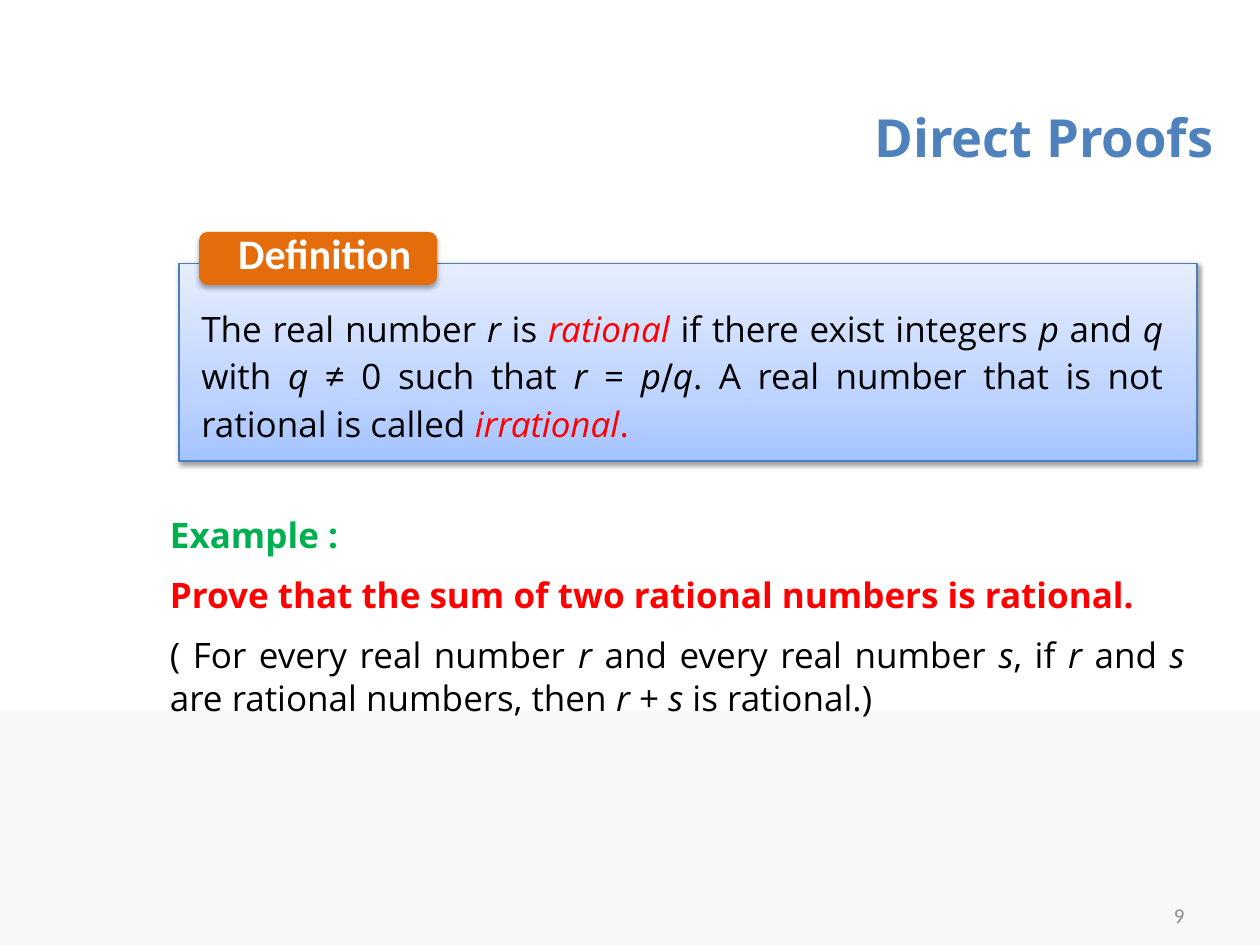
from copy import deepcopy
from dataclasses import dataclass

from lxml import etree
from pptx import Presentation
from pptx import util as u
from pptx.dml.color import RGBColor
from pptx.enum import shapes, text
from pptx.oxml.ns import qn

PX = 9144
COLORS = {
    "title": "4F81BD", "band": "F7F7F7", "number": "8C8C8C", "green": "00B050",
    "red": "FF0000", "black": "000000", "white": "FFFFFF", "edge": "4B7EBC",
    "tab": "E46C0A", "deep": "A4C4FF", "mid": "BFD4FF", "pale": "E6EEFF",
}
GRADIENT = ((0, "deep"), (0.35, "mid"), (1, "pale"))


@dataclass
class Area:
    left: int
    top: int
    width: int
    height: int

    def emu(self) -> tuple:
        return tuple(u.Emu(n * PX) for n in (self.left, self.top, self.width, self.height))


@dataclass
class Line:
    words: str
    color: str = "black"
    bold: bool = False


def rgb(name: str) -> RGBColor:
    return RGBColor.from_string(COLORS[name])


def add_text(parent, area: Area, lines: list[Line], *, size: int, font="Open Sans",
             align=text.PP_ALIGN.JUSTIFY, anchor=text.MSO_ANCHOR.TOP,
             before=0.0, spacing=None, insets=(10, 5)) -> None:
    frame = parent.add_textbox(*area.emu()).text_frame
    frame.word_wrap = True
    frame.vertical_anchor = anchor
    frame.margin_left = frame.margin_right = u.Emu(insets[0] * PX)
    frame.margin_top = frame.margin_bottom = u.Emu(insets[1] * PX)
    for index, line in enumerate(lines):
        para = frame.add_paragraph() if index else frame.paragraphs[0]
        para.alignment = align
        if index:
            para.space_before = u.Pt(before)
        if spacing:
            para.line_spacing = spacing
        for part, section in enumerate(line.words.split("~")):
            for piece, words in enumerate(section.split("*")):
                if not words:
                    continue
                span = para.add_run()
                span.text = words
                span.font.name = font
                span.font.size = u.Pt(size)
                span.font.bold = line.bold
                span.font.italic = piece % 2 == 1
                span.font.color.rgb = rgb("red" if part % 2 else line.color)


def add_panel(parent, kind, area: Area, fill: str | None = None):
    panel = parent.add_shape(kind, *area.emu())
    if fill:
        panel.fill.solid()
        panel.fill.fore_color.rgb = rgb(fill)
    panel.line.fill.background()
    panel.shadow.inherit = False
    return panel


def fill_gradient(panel) -> None:
    panel.fill.gradient()
    panel.fill.gradient_angle = 90
    stops = panel._element.spPr.find(".//" + qn("a:gsLst"))
    stops.append(deepcopy(stops[-1]))
    for stop, (position, color) in zip(panel.fill.gradient_stops, GRADIENT):
        stop.position = position
        stop.color.rgb = rgb(color)


def add_shadow(panel, opacity: int, distance: float) -> None:
    effects = panel._element.spPr.find(qn("a:effectLst"))
    shadow = etree.SubElement(effects, qn("a:outerShdw"), blurRad=str(u.Pt(3.1)),
                              dist=str(u.Pt(distance)), dir="5400000", rotWithShape="0")
    color = etree.SubElement(shadow, qn("a:srgbClr"), val=COLORS["black"])
    etree.SubElement(color, qn("a:alpha"), val=str(opacity * 1000))


def main() -> None:
    deck = Presentation()
    deck.slide_width, deck.slide_height = u.Inches(10), u.Inches(7.5)
    page = deck.slides.add_slide(deck.slide_layouts[6])
    kinds, middle, right = shapes.MSO_SHAPE, text.MSO_ANCHOR.MIDDLE, text.PP_ALIGN.RIGHT

    add_panel(page.shapes, kinds.RECTANGLE, Area(0, 564, 1000, 186), "band")
    add_text(page.shapes, Area(356, 49, 617, 118), [Line("Direct Proofs", "title", True)],
             size=30, align=right, anchor=middle)
    add_text(page.shapes, Area(717, 706, 233, 40), [Line("9", "number")],
             size=12, font="Calibri", align=right, anchor=middle)
    add_text(page.shapes, Area(125, 403, 825, 173), [
        Line("Example :", "green", True),
        Line("Prove that the sum of two rational numbers is rational.", "red", True),
        Line("( For every real number *r *and every real number *s*, if *r *and *s *"
             "are rational numbers, then *r *+ *s *is rational.)"),
    ], size=20, before=10.3)

    definition = add_panel(page.shapes, kinds.RECTANGLE, Area(142, 209, 808, 157))
    fill_gradient(definition)
    definition.line.color.rgb = rgb("edge")
    definition.line.width = u.Pt(0.75)
    add_shadow(definition, 38, 1.6)

    heading = page.shapes.add_group_shape().shapes
    tab = add_panel(heading, kinds.ROUNDED_RECTANGLE, Area(158, 184, 189, 42), "tab")
    add_shadow(tab, 35, 1.8)
    add_text(heading, Area(167, 184, 185, 38), [Line("Definition", "white", True)],
             size=24, font="Calibri", align=text.PP_ALIGN.LEFT, anchor=middle,
             spacing=0.9, insets=(22, 0))
    add_text(page.shapes, Area(150, 235, 783, 121), [
        Line("The real number *r *is ~*rational *~if there exist integers *p *and *q *"
             "with *q *≠ 0 such that *r *= *p*∕*q*. A real number that is not "
             "rational is called ~*irrational*.~"),
    ], size=20, spacing=u.Pt(27))

    deck.save("out.pptx")


if __name__ == "__main__":
    main()
